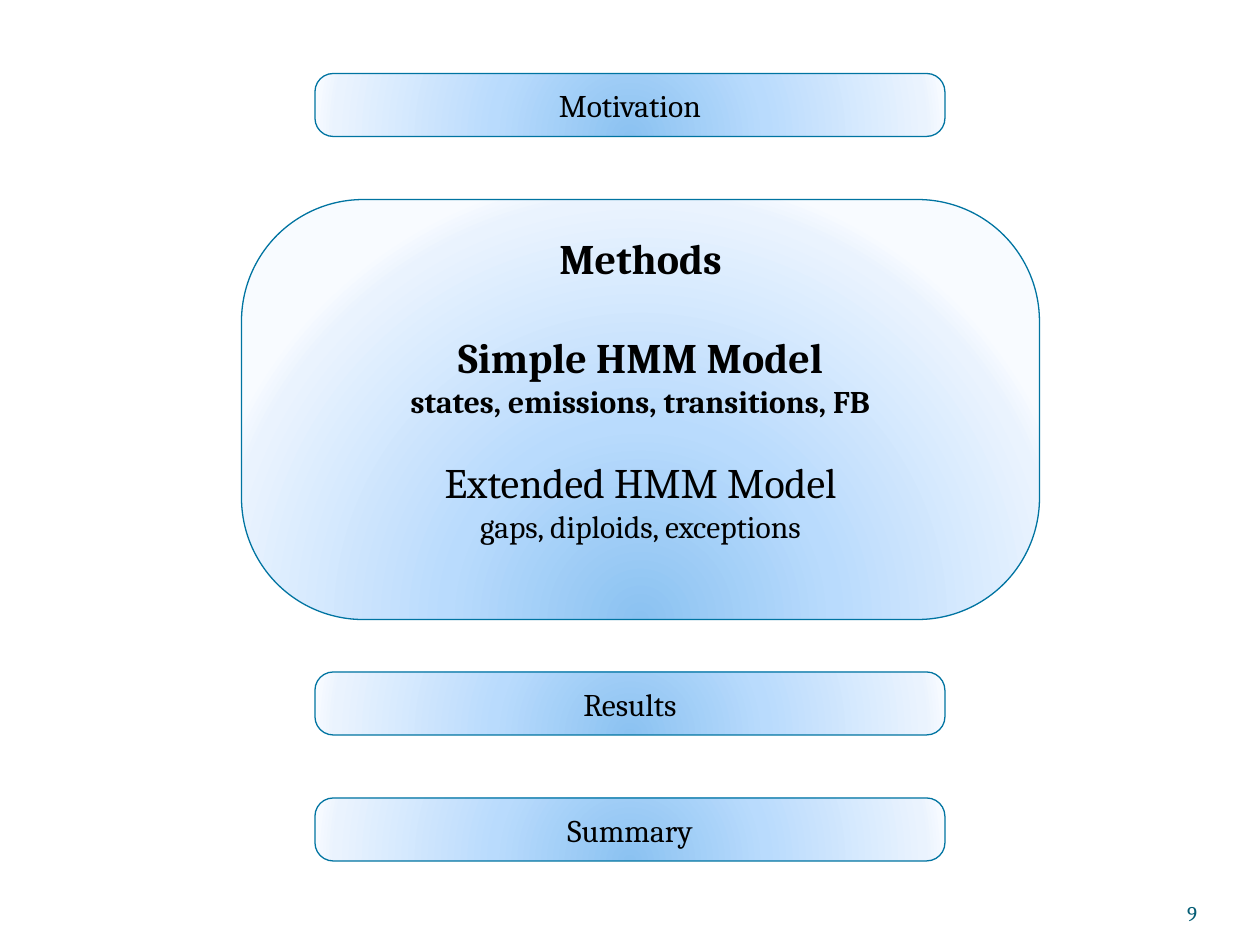
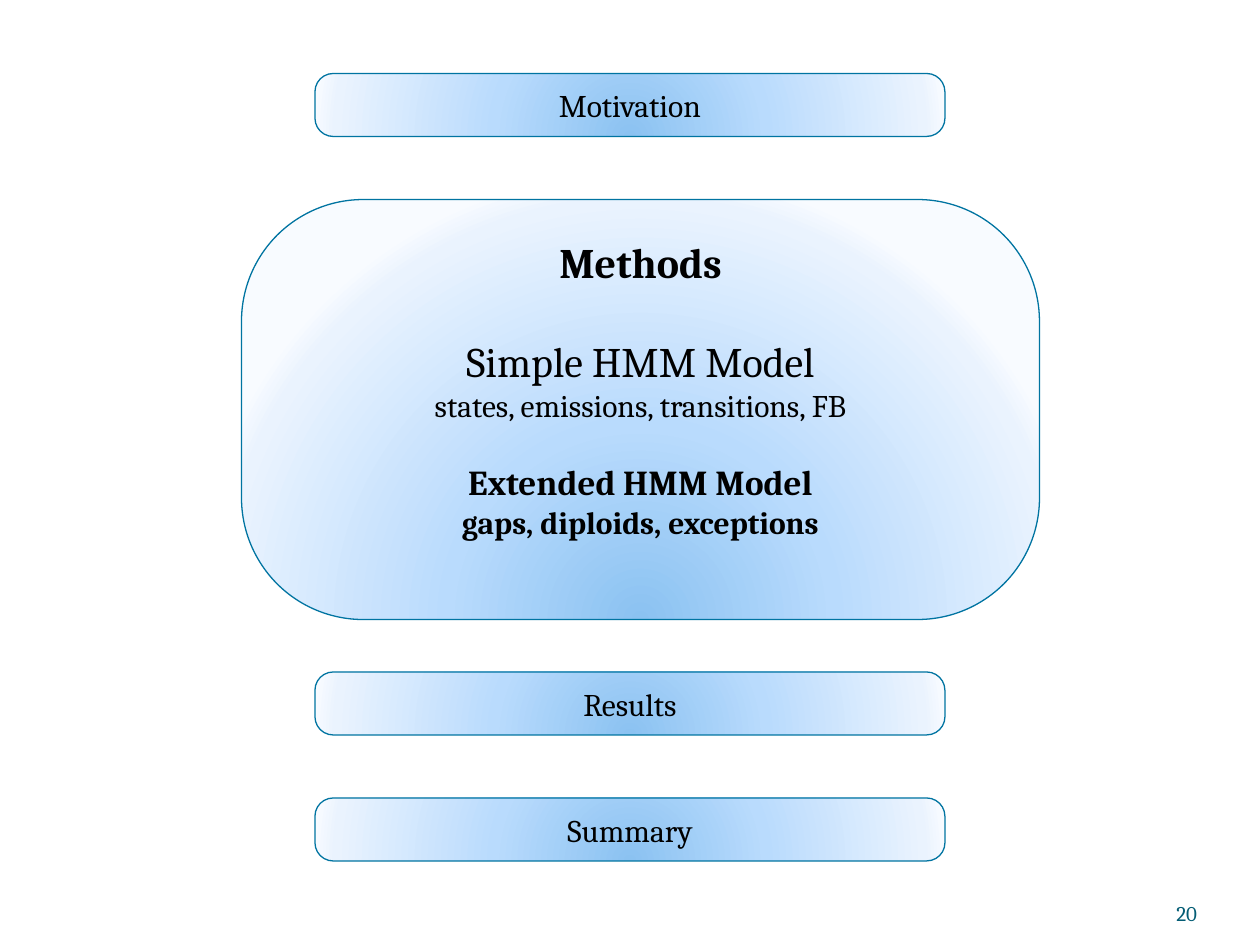
"""Build two agenda slides that step through the methods section of a talk."""
import lxml.etree
import pptx
import pptx.dml.color
import pptx.enum.shapes
import pptx.enum.text
import pptx.oxml
import pptx.oxml.ns
import pptx.util

PX = 9525
FONT = "Cambria"
BLACK = "000000"
OUTLINE = "0074A1"
NUMBER_COLOR = "045D75"
GRADIENT_STOPS = [(0, "8BC2F1"), (43, "B9DBFD"), (93, "EAF3FE"), (100, "F8FBFF")]
ALIGN = pptx.enum.text.PP_ALIGN
ANCHOR = pptx.enum.text.MSO_ANCHOR

stops = "".join(
    f'<a:gs pos="{position * 1000}"><a:srgbClr val="{stop}"/></a:gs>'
    for position, stop in GRADIENT_STOPS
)
GRADIENT = (
    f'<a:gradFill {pptx.oxml.ns.nsdecls("a")} rotWithShape="1"><a:gsLst>{stops}</a:gsLst>'
    '<a:path path="circle"><a:fillToRect l="50000" t="130000" r="50000" b="-30000"/></a:path>'
    "</a:gradFill>"
)


def color(hex_string):
    """Turn a hex string into a colour."""
    return pptx.dml.color.RGBColor.from_string(hex_string)


def write(paragraph, text, size=18, bold=False, fill=BLACK, align=ALIGN.CENTER, before=0):
    """Write formatted text into a paragraph."""
    paragraph.alignment = align
    paragraph.space_before = pptx.util.Pt(before)
    run = paragraph.add_run()
    run.text = text
    run.font.name = FONT
    run.font.size = pptx.util.Pt(size)
    run.font.bold = bold
    run.font.color.rgb = color(fill)


METHODS_BOX = (184, 152, 608, 320)
SECTION_TOPS = {"Motivation": 56, "Summary": 608, "Results": 512}

SLIDES = [
    ("9", True, False, 24),
    ("20", False, True, 20),
]

presentation = pptx.Presentation()
presentation.slide_width = 960 * PX
presentation.slide_height = 720 * PX

for number, simple_bold, extended_bold, extended_size in SLIDES:
    slide = presentation.slides.add_slide(presentation.slide_layouts[6])

    methods_lines = [
        dict(text="Methods", size=24, bold=True),
        dict(text="Simple HMM Model", size=24, bold=simple_bold, before=28),
        dict(text="states, emissions, transitions, FB", bold=simple_bold),
        dict(text="Extended HMM Model", size=extended_size, bold=extended_bold, before=21),
        dict(text="gaps, diploids, exceptions", bold=extended_bold),
    ]
    boxes = [(METHODS_BOX, methods_lines)]
    for section, top in SECTION_TOPS.items():
        boxes.append(((240, top, 480, 48), [dict(text=section)]))

    for place, lines in boxes:
        shape = slide.shapes.add_shape(
            pptx.enum.shapes.MSO_SHAPE.ROUNDED_RECTANGLE, *[length * PX for length in place]
        )
        shape.adjustments[0] = 0.29
        shape.shadow.inherit = False
        shape.line.color.rgb = color(OUTLINE)
        shape.line.width = pptx.util.Pt(0.75)
        shape.fill.background()
        no_fill = shape.element.spPr.find(pptx.oxml.ns.qn("a:noFill"))
        no_fill.getparent().replace(no_fill, pptx.oxml.parse_xml(GRADIENT))

        frame = shape.text_frame
        frame.word_wrap = True
        frame.vertical_anchor = ANCHOR.MIDDLE
        if place == METHODS_BOX:
            frame.margin_bottom = 37 * PX
        for index, line in enumerate(lines):
            paragraph = frame.add_paragraph() if index else frame.paragraphs[0]
            write(paragraph, **line)

    number_box = slide.shapes.add_textbox(832 * PX, 667 * PX, 80 * PX, 38 * PX)
    frame = number_box.text_frame
    frame.word_wrap = True
    frame.vertical_anchor = ANCHOR.BOTTOM
    frame.margin_left = frame.margin_top = frame.margin_right = frame.margin_bottom = 0
    write(frame.paragraphs[0], number, size=12, fill=NUMBER_COLOR, align=ALIGN.RIGHT)

presentation.save("out.pptx")
